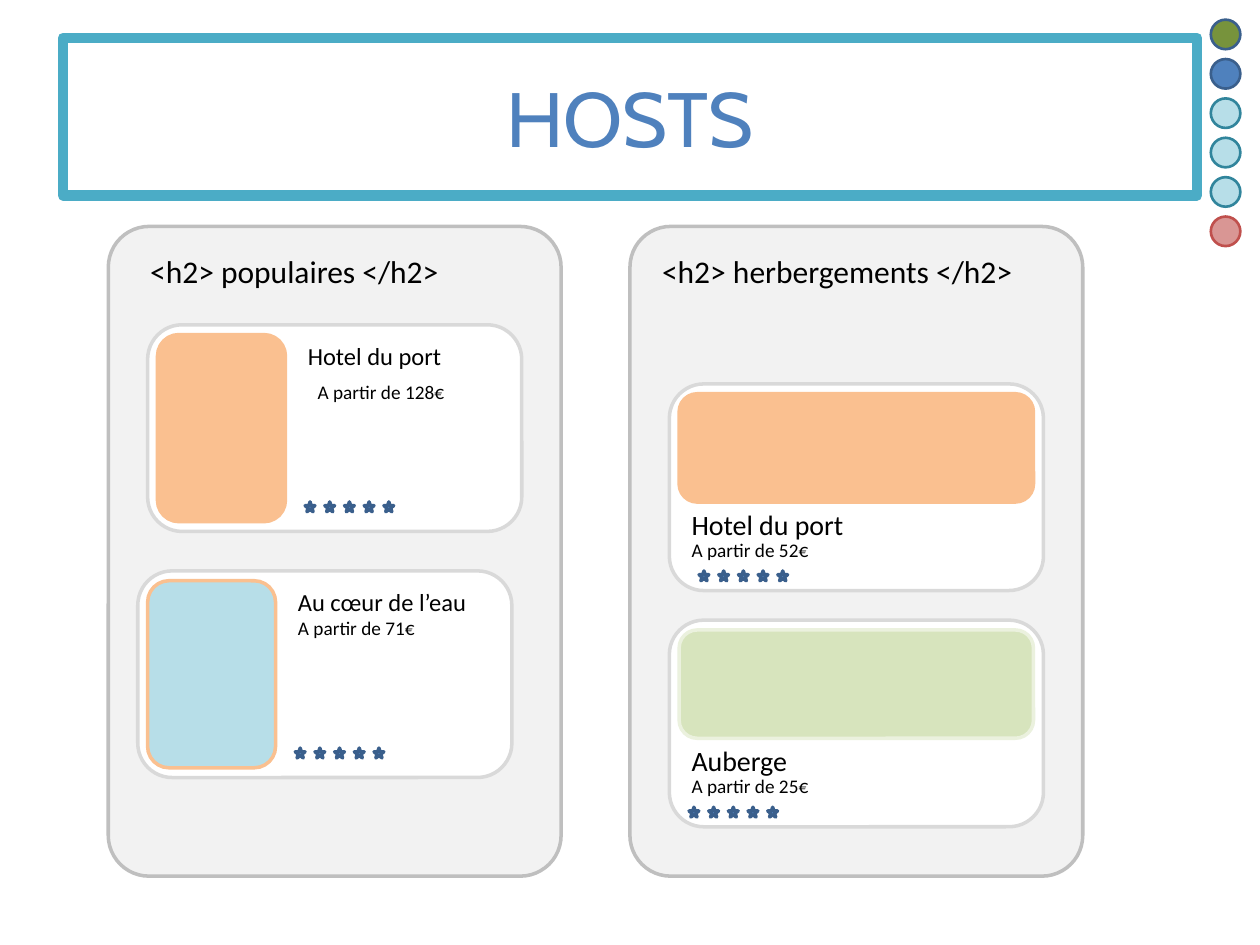
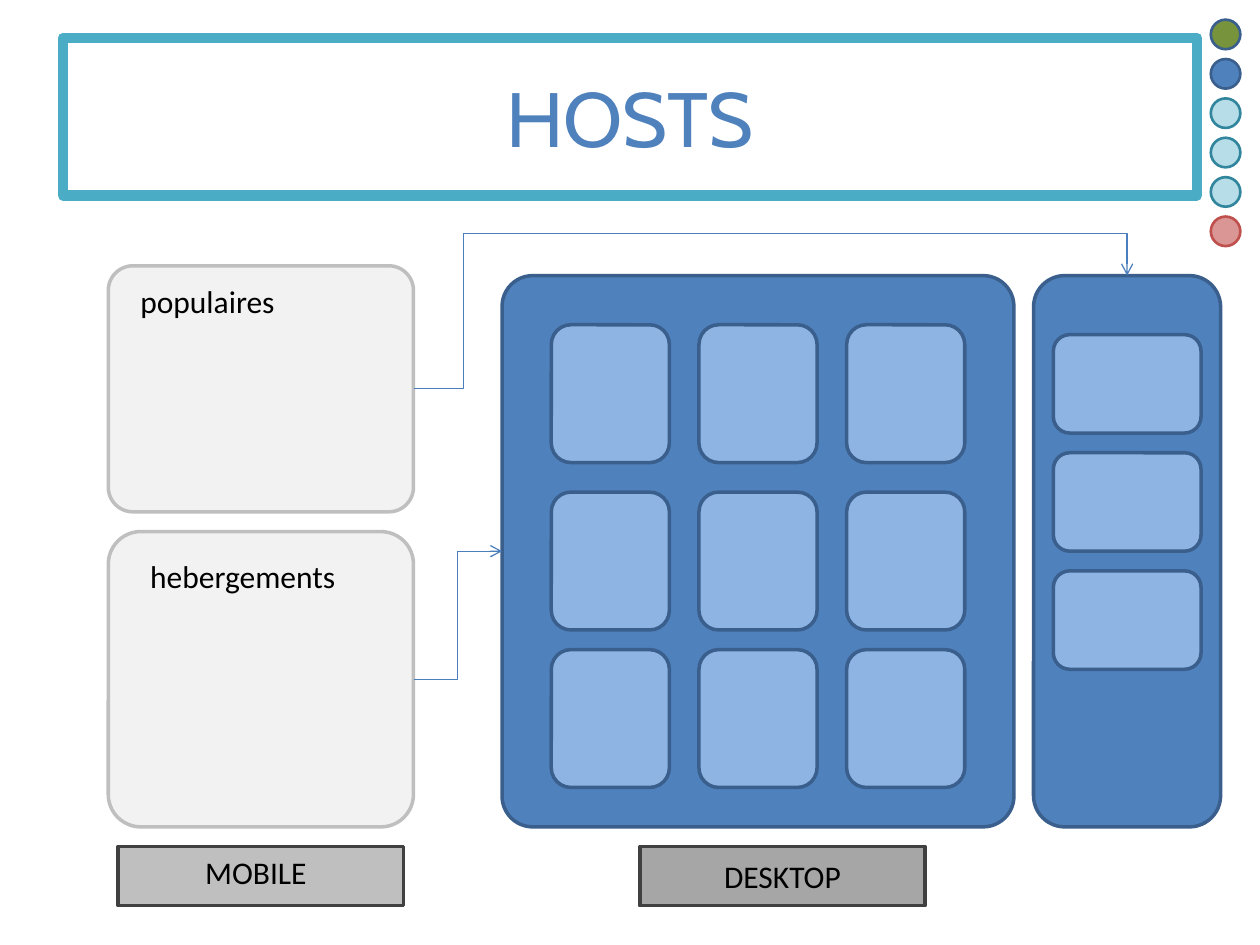
from dataclasses import dataclass

import lxml.etree
import pptx
import pptx.dml.color
import pptx.enum.shapes
import pptx.enum.text
import pptx.oxml.ns
import pptx.util

Pt = pptx.util.Pt
SHAPE = pptx.enum.shapes.MSO_SHAPE
ALIGN = pptx.enum.text.PP_ALIGN
ANCHOR = pptx.enum.text.MSO_ANCHOR
qn = pptx.oxml.ns.qn

BODY_FONT, TITLE_FONT = "Calibri", "Cabin"
BLACK, WHITE = "000000", "FFFFFF"
BLUE, NAVY, SKY, TEAL = "4F81BD", "3A5F8C", "8EB4E3", "4BACC6"
LIGHT_GREY, MID_GREY, CARD_EDGE = "F2F2F2", "BFBFBF", "D9D9D9"
DARK_GREY, LABEL_GREY = "404040", "A6A6A6"
PEACH, AQUA, DEEP_AQUA = "FAC090", "B7DEE8", "31859C"
SAGE, PALE_SAGE, CONNECTOR_BLUE = "D7E4BD", "EBF1DE", "4B7EBC"

DOT_COLOURS = [("77933C", NAVY), (BLUE, NAVY)] + [(AQUA, DEEP_AQUA)] * 3 + [("D99694", "C0504D")]
CARD_WIDTH, CARD_HEIGHT, CARD_PADDING = 213.8, 118.1, 5.6
STAR_COUNT, STAR_PITCH, STAR_SIZE = 5, 11.25, 5.6


@dataclass
class Box:
    left: float
    top: float
    width: float
    height: float


@dataclass
class Layout:
    """Sizes and offsets, measured from the card's corner."""
    photo_width: float
    photo_height: float
    name_left: float
    name_top: float
    name_size: float


@dataclass
class Card:
    left: float
    top: float
    layout: Layout
    photo_fill: str
    photo_edge: str
    name: str
    price: str
    price_left: float
    price_top: float
    stars_left: float
    stars_top: float


WIDE = Layout(202.5, 61.9, 5.6, 67, 16)
TALL = Layout(73.1, 106.9, 84.4, 5.6, 14)

CARDS = [
    Card(382.5, 219.4, WIDE, PEACH, PEACH, "Hotel du port", "A partir de 52€", 5.6, 84.4, 17, 106.9),
    Card(382.5, 354.4, WIDE, SAGE, PALE_SAGE, "Auberge", "A partir de 25€", 5.6, 84.4, 11.25, 106.9),
    Card(84.4, 185.6, TALL, PEACH, PEACH, "Hotel du port", "A partir de 128€", 90, 28.1, 90, 101.25),
    Card(78.75, 326.25, TALL, AQUA, PEACH, "Au cœur de l’eau", "A partir de 71€", 84.4, 22.5, 90, 101.25),
]


def colour(value: str):
    return pptx.dml.color.RGBColor.from_string(value)


def draw_shape(shapes, kind, box: Box, fill: str, edge: str, weight: float = 2, corner=None):
    shape = shapes.add_shape(kind, Pt(box.left), Pt(box.top), Pt(box.width), Pt(box.height))
    shape.shadow.inherit = False
    shape.fill.solid()
    shape.fill.fore_color.rgb = colour(fill)
    shape.line.color.rgb = colour(edge)
    shape.line.width = Pt(weight)
    if corner is not None:
        shape.adjustments[0] = corner
    return shape


def write(shape, text: str, size: float, ink: str = BLACK, font: str = BODY_FONT,
          align=ALIGN.LEFT, anchor=ANCHOR.TOP) -> None:
    frame = shape.text_frame
    frame.word_wrap = True
    frame.vertical_anchor = anchor
    para = frame.paragraphs[0]
    para.alignment = align
    span = para.add_run()
    span.text = text
    span.font.size = Pt(size)
    span.font.name = font
    span.font.color.rgb = colour(ink)


def draw_text(shapes, box: Box, text: str, size: float = 18, align=ALIGN.LEFT) -> None:
    text_box = shapes.add_textbox(Pt(box.left), Pt(box.top), Pt(box.width), Pt(box.height))
    write(text_box, text, size, align=align)


def draw_panel(shapes, box: Box, corner: float):
    return draw_shape(shapes, SHAPE.ROUNDED_RECTANGLE, box, LIGHT_GREY, MID_GREY, corner=corner)


def draw_blue_box(shapes, box: Box, fill: str, corner=None):
    return draw_shape(shapes, SHAPE.ROUNDED_RECTANGLE, box, fill, NAVY, corner=corner)


def draw_card(page, card: Card) -> None:
    shapes = page.shapes.add_group_shape().shapes
    layout = card.layout
    draw_shape(shapes, SHAPE.ROUNDED_RECTANGLE,
               Box(card.left, card.top, CARD_WIDTH, CARD_HEIGHT), WHITE, CARD_EDGE)
    draw_shape(shapes, SHAPE.ROUNDED_RECTANGLE,
               Box(card.left + CARD_PADDING, card.top + CARD_PADDING,
                   layout.photo_width, layout.photo_height), card.photo_fill, card.photo_edge)
    draw_text(shapes, Box(card.left + layout.name_left, card.top + layout.name_top, 124, 26),
              card.name, layout.name_size)
    draw_text(shapes, Box(card.left + card.price_left, card.top + card.price_top, 112, 21),
              card.price, 11)
    for index in range(STAR_COUNT):
        left = card.left + card.stars_left + index * STAR_PITCH
        draw_shape(shapes, SHAPE.STAR_5_POINT,
                   Box(left, card.top + card.stars_top, STAR_SIZE, STAR_SIZE), BLUE, NAVY)


def connect(page, source, target, target_side: int, preset: str, bends: list[float]) -> None:
    """Draw an elbow arrow from the right of source; bends are fractions of its extent."""
    link = page.shapes.add_connector(pptx.enum.shapes.MSO_CONNECTOR.ELBOW, 0, 0, 0, 0)
    link.begin_connect(source, 3)
    link.end_connect(target, target_side)
    link.line.color.rgb = colour(CONNECTOR_BLUE)
    link.line.width = Pt(0.75)
    properties = link._element.spPr
    geometry = properties.find(qn("a:prstGeom"))
    geometry.set("prst", preset)
    guides = geometry.find(qn("a:avLst"))
    for number, bend in enumerate(bends, 1):
        lxml.etree.SubElement(guides, qn("a:gd"), name=f"adj{number}",
                              fmla=f"val {round(bend * 100000)}")
    lxml.etree.SubElement(properties.find(qn("a:ln")), qn("a:tailEnd"), type="arrow")
    lxml.etree.SubElement(properties, qn("a:effectLst"))


def add_page(deck):
    """Add a blank slide with the framed title and the column of dots."""
    page = deck.slides.add_slide(deck.slide_layouts[6])
    title = draw_shape(page.shapes, SHAPE.RECTANGLE, Box(36, 21.6, 648, 90), WHITE, TEAL, 6)
    write(title, "HOSTS", 44, BLUE, TITLE_FONT, ALIGN.CENTER, ANCHOR.MIDDLE)
    for index, (fill, edge) in enumerate(DOT_COLOURS):
        draw_shape(page.shapes, SHAPE.OVAL, Box(691.9, 11.25 + 22.5 * index, 16.9, 16.9),
                   fill, edge, 1.5)
    return page


def build_cards_page(deck) -> None:
    page = add_page(deck)
    draw_panel(page.shapes, Box(61.9, 129.4, 258.75, 371.25), 0.09)
    draw_panel(page.shapes, Box(360, 129.4, 258.75, 371.25), 0.09)
    draw_text(page.shapes, Box(78.75, 140.6, 202.5, 29), "<h2> populaires </h2>")
    draw_text(page.shapes, Box(371.25, 140.6, 225, 29), "<h2> herbergements </h2>")
    for card in CARDS:
        draw_card(page, card)


def build_layouts_page(deck) -> None:
    page = add_page(deck)
    shapes = page.shapes
    popular = draw_panel(shapes, Box(61.9, 151.9, 174.4, 140.6), 0.1)
    lodgings = draw_panel(shapes, Box(61.9, 303.75, 174.4, 168.75), 0.11)
    draw_text(shapes, Box(73.1, 157.5, 146.25, 29), "populaires")
    draw_text(shapes, Box(78.75, 315, 140.6, 29), "hebergements")

    main_area = draw_blue_box(shapes, Box(286.9, 157.5, 292.5, 315), BLUE, 0.06)
    sidebar = draw_blue_box(shapes, Box(590.6, 157.5, 106.9, 315), BLUE)
    connect(page, popular, sidebar, 0, "bentConnector4", [0.07, 1.37])
    connect(page, lodgings, main_area, 1, "bentConnector3", [0.5])
    for top in (185.6, 281.25, 371.25):
        for column in range(3):
            draw_blue_box(shapes, Box(315 + 84.4 * column, top, 67.5, 78.75), SKY)
    for row in range(3):
        draw_blue_box(shapes, Box(601.9, 191.25 + 67.5 * row, 84.4, 56.25), SKY)

    draw_shape(shapes, SHAPE.RECTANGLE, Box(67.5, 483.75, 163.1, 33.75), MID_GREY, DARK_GREY)
    draw_text(shapes, Box(78.75, 483.75, 135, 29), "MOBILE", align=ALIGN.CENTER)
    desktop = draw_shape(shapes, SHAPE.RECTANGLE, Box(365.6, 483.75, 163.1, 33.75),
                         LABEL_GREY, DARK_GREY)
    write(desktop, "DESKTOP", 18, align=ALIGN.CENTER, anchor=ANCHOR.MIDDLE)


def main() -> None:
    deck = pptx.Presentation()
    deck.slide_width, deck.slide_height = Pt(720), Pt(540)
    build_cards_page(deck)
    build_layouts_page(deck)
    deck.save("out.pptx")


if __name__ == "__main__":
    main()
